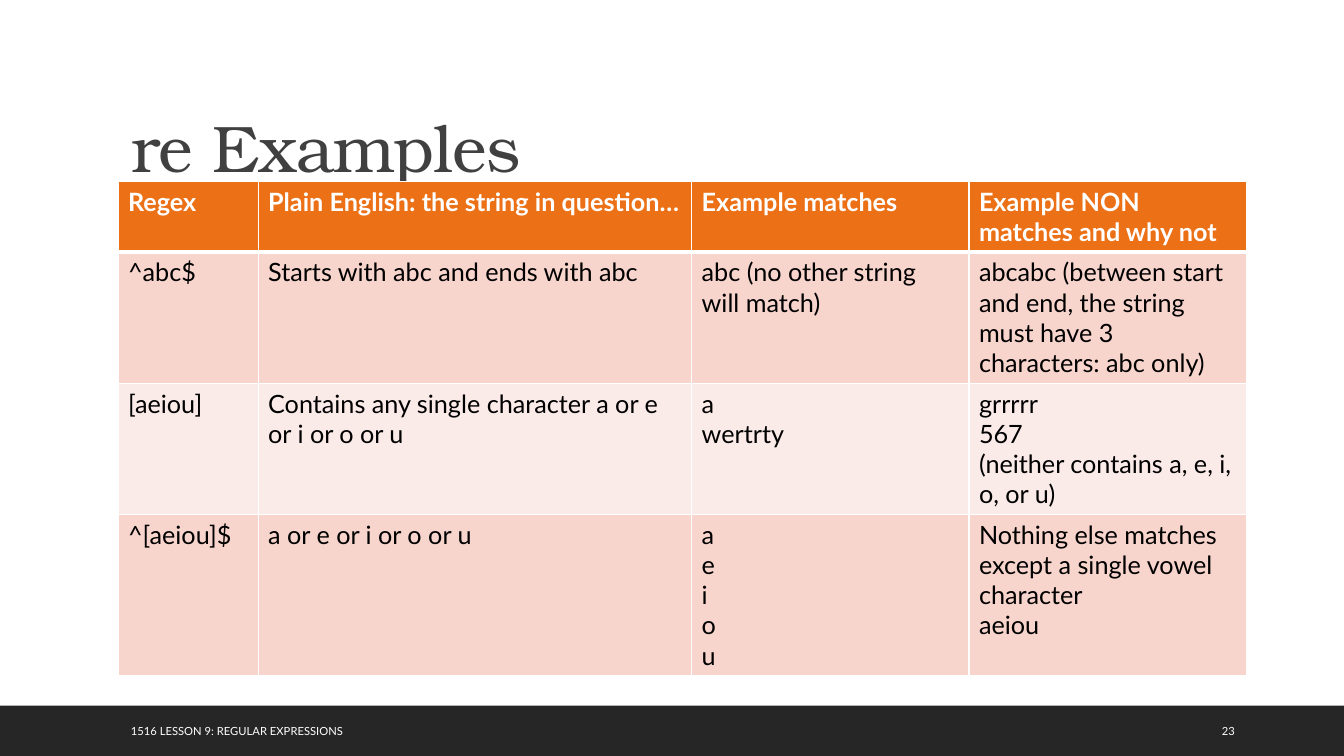
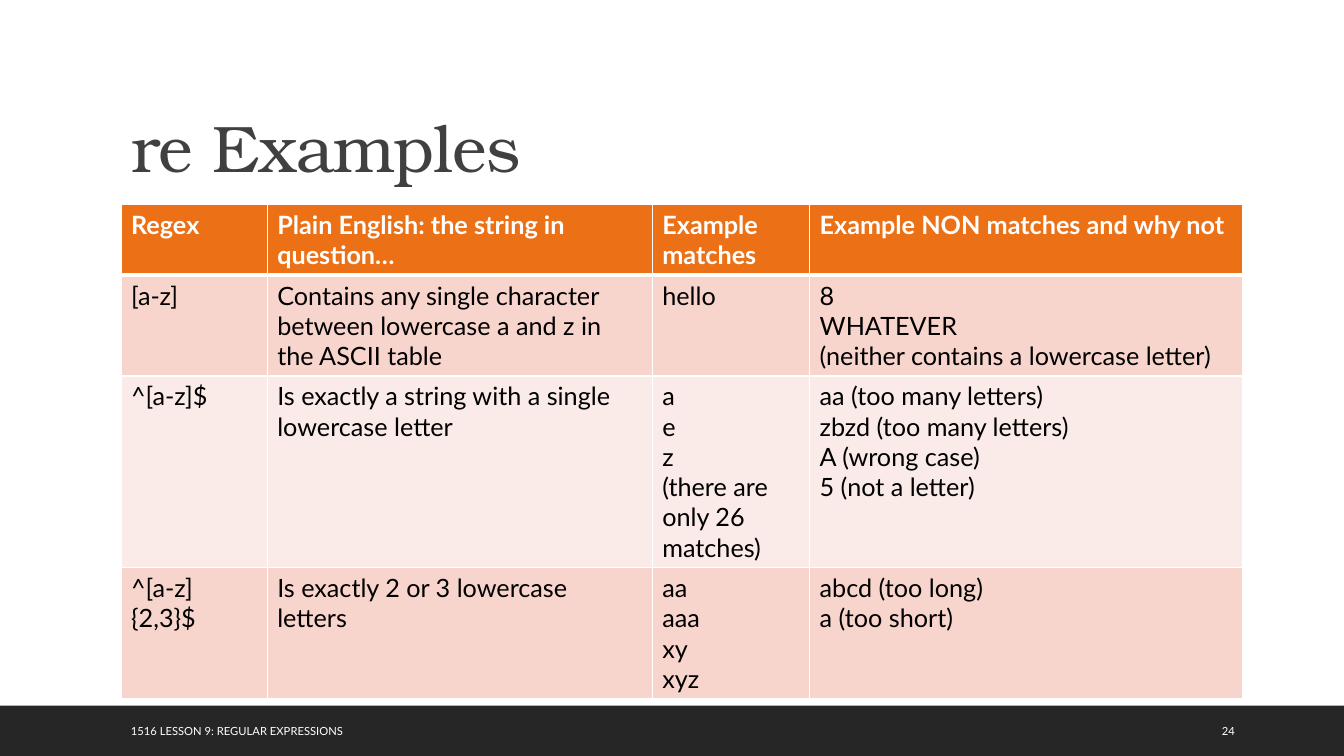
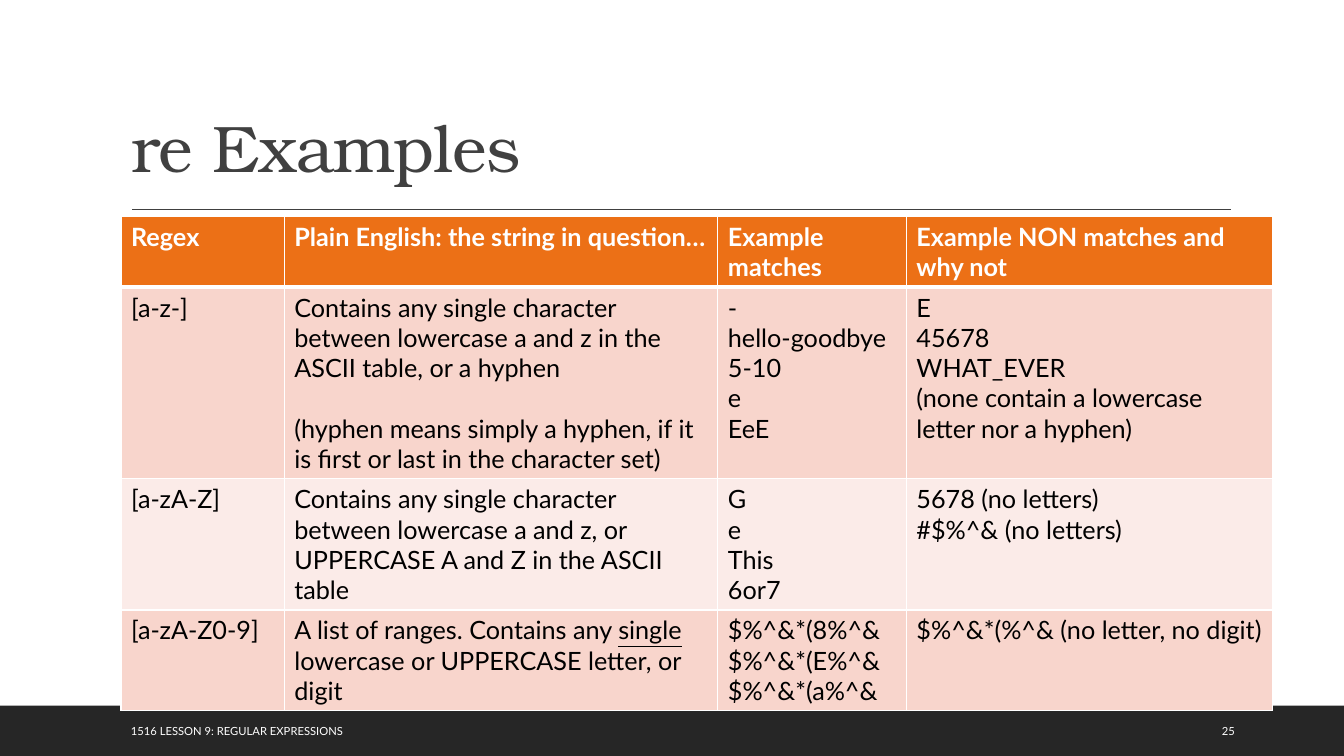
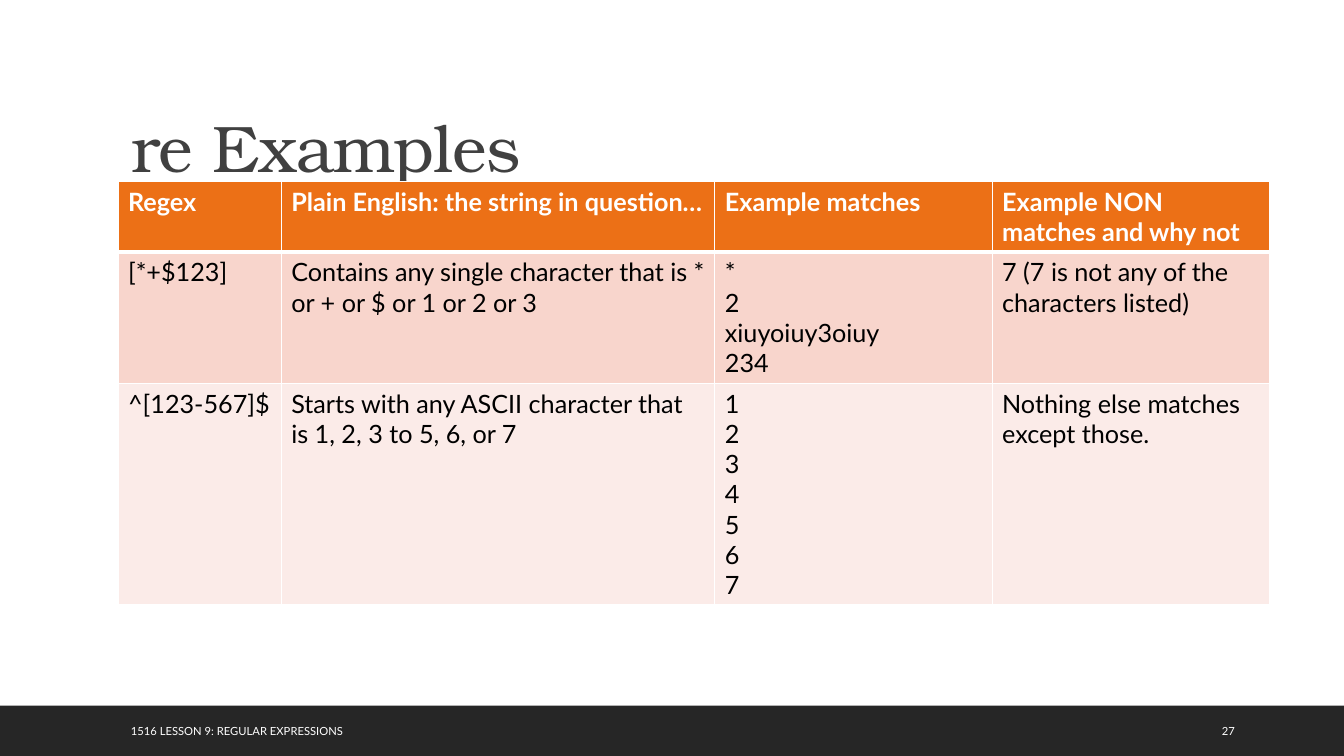
"""Build four slides of regular expression examples."""
from lxml import etree
from pptx import Presentation
from pptx.dml.color import RGBColor
from pptx.enum.shapes import MSO_CONNECTOR, MSO_SHAPE
from pptx.enum.text import MSO_ANCHOR, MSO_AUTO_SIZE, PP_ALIGN
from pptx.oxml.ns import qn
from pptx.util import Inches, Pt

RECTANGLE = MSO_SHAPE.RECTANGLE
STRAIGHT = MSO_CONNECTOR.STRAIGHT
BOTTOM, MIDDLE = MSO_ANCHOR.BOTTOM, MSO_ANCHOR.MIDDLE
NO_FIT = MSO_AUTO_SIZE.NONE
LEFT = PP_ALIGN.LEFT

WHITE = RGBColor(0xFF, 0xFF, 0xFF)
BLACK = RGBColor(0x00, 0x00, 0x00)
CHARCOAL = RGBColor(0x26, 0x26, 0x26)
GREY = RGBColor(0x40, 0x40, 0x40)
ORANGE = RGBColor(0xEC, 0x70, 0x16)
PINK = RGBColor(0xF8, 0xD5, 0xCC)
PALE_PINK = RGBColor(0xFB, 0xEB, 0xE8)

TITLE_FONT, BODY_FONT = "TeX Gyre Bonum", "Lato"
TITLE = "re Examples"
FOOTER = "1516 LESSON 9: REGULAR EXPRESSIONS"
HEADINGS = ("Regex", "Plain English: the string in question…",
            "Example matches", "Example NON matches and why not")
LINE_HEIGHT, CELL_PADDING = 0.3, 0.1
HEADER_LINES = 2
THIN, THICK = 1, 3
UNDERLINE_MARK = "~"

PAGES = (
    {
        "number": 23, "corner": (1.17, 1.8),
        "widths": (1.39, 4.3, 2.75, 2.75), "lines": (4, 4, 5),
        "rows": (
            ("^abc$", "Starts with abc and ends with abc",
             "abc (no other string will match)",
             "abcabc (between start and end, the string must have 3 "
             "characters: abc only)"),
            ("[aeiou]", "Contains any single character a or e or i or o or u",
             "a\nwertrty",
             "grrrrr\n567\n(neither contains a, e, i, o, or u)"),
            ("^[aeiou]$", "a or e or i or o or u", "a\ne\ni\no\nu",
             "Nothing else matches except a single vowel character\naeiou"),
        ),
    },
    {
        "number": 24, "corner": (1.2, 2.03),
        "widths": (1.45, 3.82, 1.56, 4.29), "lines": (3, 6, 4),
        "rows": (
            ("[a-z]",
             "Contains any single character between lowercase a and z in "
             "the ASCII table",
             "hello", "8\nWHATEVER\n(neither contains a lowercase letter)"),
            ("^[a-z]$", "Is exactly a string with a single lowercase letter",
             "a\ne\nz\n(there are only 26 matches)",
             "aa (too many letters)\nzbzd (too many letters)\n"
             "A (wrong case)\n5 (not a letter)"),
            ("^[a-z]{2,3}$", "Is exactly 2 or 3 lowercase letters",
             "aa\naaa\nxy\nxyz", "abcd (too long)\na (too short)"),
        ),
    },
    {
        "number": 25, "corner": (1.2, 2.15),
        "widths": (1.62, 4.3, 1.87, 3.63), "lines": (6, 4, 3),
        "rows": (
            ("[a-z-]",
             "Contains any single character between lowercase a and z in "
             "the ASCII table, or a hyphen\n\n"
             "(hyphen means simply a hyphen, if it is first or last in the "
             "character set)",
             "-\nhello-goodbye\n5-10\ne\nEeE",
             "E\n45678\nWHAT_EVER\n"
             "(none contain a lowercase letter nor a hyphen)"),
            ("[a-zA-Z]",
             "Contains any single character between lowercase a and z, or "
             "UPPERCASE A and Z in the ASCII table",
             "G\ne\nThis\n6or7", "5678 (no letters)\n#$%^& (no letters)"),
            ("[a-zA-Z0-9]",
             "A list of ranges. Contains any ~single~ lowercase or UPPERCASE "
             "letter, or digit",
             "$%^&*(8%^&\n$%^&*(E%^&\n$%^&*(a%^&",
             "$%^&*(%^& (no letter, no digit)"),
        ),
    },
    {
        "number": 27, "corner": (1.17, 1.8),
        "widths": (1.62, 4.3, 2.75, 2.75), "lines": (4, 7),
        "rows": (
            ("[*+$123]",
             "Contains any single character that is * or + or $ or 1 or 2 or 3",
             "*\n2\nxiuyoiuy3oiuy\n234",
             "7 (7 is not any of the characters listed)"),
            ("^[123-567]$",
             "Starts with any ASCII character that is 1, 2, 3 to 5, 6, or 7",
             "1\n2\n3\n4\n5\n6\n7", "Nothing else matches except those."),
        ),
    },
)


def style_font(font, name, size, color, bold=False):
    """Set the face, size, colour and weight of a font."""
    font.name, font.size, font.bold = name, Pt(size), bold
    font.color.rgb = color


def decorate_layout(layout, page):
    """Draw the footer band and title rule and move them to the layout."""
    band = page.shapes.add_shape(
        RECTANGLE, 0, Inches(7), Inches(13.33), Inches(0.5))
    band.shadow.inherit = False
    band.fill.solid()
    band.fill.fore_color.rgb = CHARCOAL
    band.line.fill.background()
    rule = page.shapes.add_connector(
        STRAIGHT, Inches(1.31), Inches(2.08), Inches(12.21), Inches(2.08))
    rule.line.color.rgb = GREY
    rule.line.width = Pt(1)
    etree.SubElement(rule.element.spPr, qn("a:effectLst"))
    for shape in (band, rule):
        layout.shapes.element.append(shape.element)


def place_layout_title(layout):
    """Give the layout's title its place, which every slide inherits."""
    title = layout.placeholders[0]
    title.left, title.top = Inches(1.2), Inches(0.31)
    title.width, title.height = Inches(11), Inches(1.59)


def write_title(page):
    """Fill and format the title placeholder."""
    frame = page.shapes.title.text_frame
    frame.text = TITLE
    frame.vertical_anchor = BOTTOM
    frame.auto_size = NO_FIT
    para = frame.paragraphs[0]
    para.alignment = LEFT
    para.line_spacing = 0.9
    style_font(para.font, TITLE_FONT, 47, GREY)
    para.runs[0]._r.get_or_add_rPr().set("spc", "-50")


def add_footer_text(page, text, left, width):
    """Add small white text on the footer band."""
    box = page.shapes.add_textbox(
        Inches(left), Inches(7.05), Inches(width), Inches(0.4))
    frame = box.text_frame
    frame.word_wrap = True
    frame.vertical_anchor = MIDDLE
    frame.text = text
    style_font(frame.paragraphs[0].font, BODY_FONT, 8, WHITE)


def set_borders(cell, top, bottom):
    """Draw white borders of the given point widths round a cell."""
    properties = cell._tc.get_or_add_tcPr()
    for side, width in (("L", THIN), ("R", THIN), ("T", top), ("B", bottom)):
        line = etree.SubElement(
            properties, qn(f"a:ln{side}"), w=str(Pt(width)))
        fill = etree.SubElement(line, qn("a:solidFill"))
        etree.SubElement(fill, qn("a:srgbClr"), val=str(WHITE))


def write_cell(cell, text, color, bold):
    """Write lines into a cell, with a gap of one line between blocks."""
    frame = cell.text_frame
    para = None
    for block_index, block in enumerate(text.split("\n\n")):
        for line_index, line in enumerate(block.split("\n")):
            para = frame.add_paragraph() if para else frame.paragraphs[0]
            style_font(para.font, BODY_FONT, 18, color, bold)
            if block_index and not line_index:
                para.space_before = Pt(LINE_HEIGHT * 72)
            for span_index, words in enumerate(line.split(UNDERLINE_MARK)):
                span = para.add_run()
                span.text = words
                if span_index % 2:
                    span.font.underline = True


def add_example_table(page, corner, widths, lines, rows):
    """Add a banded table whose row heights follow their line counts."""
    left, top = corner
    heights = [count * LINE_HEIGHT + CELL_PADDING
               for count in (HEADER_LINES, *lines)]
    table = page.shapes.add_table(
        len(heights), len(widths), Inches(left), Inches(top),
        Inches(sum(widths)), Inches(sum(heights))).table
    for column, width in zip(table.columns, widths):
        column.width = Inches(width)
    for index, (texts, height) in enumerate(zip((HEADINGS, *rows), heights)):
        table.rows[index].height = Inches(height)
        is_header = index == 0
        band_color = PINK if index % 2 else PALE_PINK
        for cell, text in zip(table.rows[index].cells, texts):
            set_borders(cell, THICK if index == 1 else THIN,
                        THICK if is_header else THIN)
            cell.fill.solid()
            cell.fill.fore_color.rgb = ORANGE if is_header else band_color
            write_cell(cell, text, WHITE if is_header else BLACK, is_header)


def main():
    """Build and save the deck."""
    deck = Presentation()
    deck.slide_width, deck.slide_height = Inches(13.33), Inches(7.5)
    layout = deck.slide_layouts[5]
    place_layout_title(layout)
    for content in PAGES:
        page = deck.slides.add_slide(layout)
        write_title(page)
        add_example_table(page, content["corner"], content["widths"],
                          content["lines"], content["rows"])
        add_footer_text(page, FOOTER, 1.2, 7.46)
        add_footer_text(page, str(content["number"]), 12.02, 0.85)
    decorate_layout(layout, deck.slides[0])
    deck.save("out.pptx")


if __name__ == "__main__":
    main()
